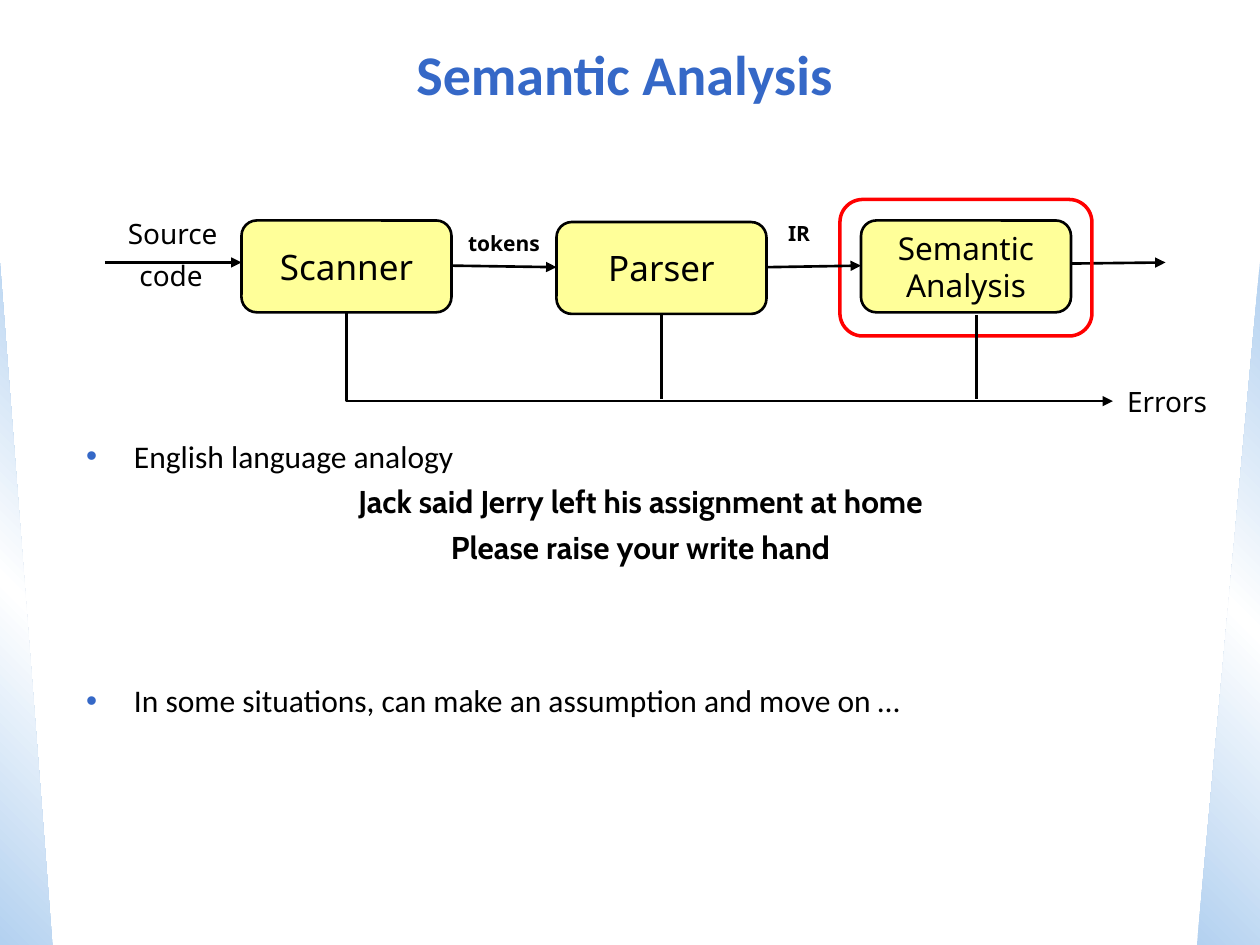
from dataclasses import dataclass
from lxml.etree import SubElement
from pptx import Presentation
from pptx.dml.color import RGBColor as RGB
from pptx.enum.shapes import MSO_CONNECTOR as CONN, MSO_SHAPE as SHAPE
from pptx.enum.text import MSO_ANCHOR as ANCHOR, MSO_AUTO_SIZE as AUTO, PP_ALIGN as ALIGN
from pptx.oxml import parse_xml
from pptx.oxml.ns import nsdecls, qn
from pptx.util import Inches, Pt


@dataclass(frozen=True)
class Theme:
    accent: str = "3568C7"
    ink: str = "000000"
    box: str = "FFFF99"
    focus: str = "FF0000"
    edge: str = "B3D1F0"
    paper: str = "FFFFFF"
    head_font: str = "Calibri"
    quote_font: str = "Cabin"
    label_font: str = "Noto Sans"
    title: int = 32
    stage: int = 20
    body: int = 18
    label: int = 16
    small: int = 12
    line: float = 1.5


class Deck:
    COLS, ROWS = 120, 90

    def __init__(self, theme):
        self.t = theme
        self.prs = Presentation()
        self.prs.slide_width, self.prs.slide_height = Inches(10), Inches(7.5)
        self.s = self.prs.slides.add_slide(self.prs.slide_layouts[1])

    def grid(self, x, y, w, h):
        dx, dy = self.prs.slide_width / self.COLS, self.prs.slide_height / self.ROWS
        return [int(v) for v in (x * dx, y * dy, w * dx, h * dy)]

    def run(self, p, text, size, font, color=None, bold=False):
        r = p.add_run()
        r.text = text
        r.font.size, r.font.name, r.font.bold = Pt(size), font, bold
        r.font.color.rgb = RGB.from_string(color or self.t.ink)

    def place(self, sp, *at):
        sp.left, sp.top, sp.width, sp.height = self.grid(*at)
        sp.text_frame.auto_size = AUTO.NONE
        return sp.text_frame

    def title(self, text, *at):
        tf = self.place(self.s.shapes.title, *at)
        tf.vertical_anchor = ANCHOR.MIDDLE
        p = tf.paragraphs[0]
        p.alignment = ALIGN.CENTER
        self.run(p, text, self.t.title, self.t.head_font, self.t.accent, True)

    def body(self, items, *at):
        tf = self.place(self.s.placeholders[1], *at)
        for i, (text, bullet, before) in enumerate(items):
            p = tf.paragraphs[0] if i == 0 else tf.add_paragraph()
            pPr = p._p.get_or_add_pPr()
            pPr.set("marL", str(Inches(0.38)))
            pPr.set("indent", str(Inches(-0.38)))
            if bullet:
                clr = SubElement(pPr, qn("a:buClr"))
                SubElement(clr, qn("a:srgbClr")).set("val", self.t.accent)
                SubElement(pPr, qn("a:buChar")).set("char", "•")
            else:
                SubElement(pPr, qn("a:buNone"))
            p.alignment = ALIGN.LEFT if bullet else ALIGN.CENTER
            p.space_before = Pt(before)
            font = self.t.head_font if bullet else self.t.quote_font
            self.run(p, text, self.t.body, font, bold=not bullet)

    def shape(self, kind, *at):
        sp = self.s.shapes.add_shape(kind, *self.grid(*at))
        sp.shadow.inherit = False
        return sp

    def edge(self, x, w, angle, flip=False):
        sp = self.shape(SHAPE.RIGHT_TRIANGLE, x, 25, w, 65)
        spPr = sp.element.spPr
        if flip:
            spPr.xfrm.set("flipH", "1")
        stops = "".join(
            f'<a:gs pos="{pos}"><a:srgbClr val="{color}"/></a:gs>'
            for pos, color in ((0, self.t.edge), (50000, self.t.paper), (100000, self.t.edge)))
        spPr.insert(2, parse_xml(
            f'<a:gradFill {nsdecls("a")} rotWithShape="1"><a:gsLst>{stops}</a:gsLst>'
            f'<a:lin ang="{angle * 60000}" scaled="0"/></a:gradFill>'))
        sp.line.fill.background()

    def frame(self, *at):
        sp = self.shape(SHAPE.ROUNDED_RECTANGLE, *at)
        sp.fill.background()
        sp.line.color.rgb, sp.line.width = RGB.from_string(self.t.focus), Pt(2)

    def stage(self, lines, size, x, y):
        sp = self.shape(SHAPE.ROUNDED_RECTANGLE, x, y, 20, 8.75)
        sp.fill.solid()
        sp.fill.fore_color.rgb = RGB.from_string(self.t.box)
        sp.line.color.rgb, sp.line.width = RGB.from_string(self.t.ink), Pt(self.t.line)
        tf = sp.text_frame
        tf.word_wrap, tf.vertical_anchor = False, ANCHOR.MIDDLE
        for i, text in enumerate(lines):
            p = tf.paragraphs[0] if i == 0 else tf.add_paragraph()
            p.alignment = ALIGN.CENTER
            self.run(p, text, size, self.t.label_font)

    def label(self, text, size, *at, bold=False):
        tf = self.s.shapes.add_textbox(*self.grid(*at)).text_frame
        tf.word_wrap, tf.auto_size = False, AUTO.SHAPE_TO_FIT_TEXT
        p = tf.paragraphs[0]
        p.alignment = ALIGN.CENTER
        self.run(p, text, size, self.t.label_font, bold=bold)

    def line(self, *ends, arrow=True, kind=CONN.STRAIGHT, width=None):
        c = self.s.shapes.add_connector(kind, *self.grid(*ends))
        c.line.color.rgb = RGB.from_string(self.t.ink)
        c.line.width = Pt(width or self.t.line)
        if arrow:
            SubElement(c.line._get_or_add_ln(), qn("a:tailEnd")).set("type", "triangle")
        SubElement(c.element.spPr, qn("a:effectLst"))
        return c

    def elbow(self, x1, y1, x2, y2):
        cx, cy, w, h = (x1 + x2) / 2, (y1 + y2) / 2, x2 - x1, y2 - y1
        c = self.line(cx - h / 2, cy - w / 2, cx + h / 2, cy + w / 2,
                      kind=CONN.ELBOW, width=1.25)
        spPr = c.element.spPr
        spPr.xfrm.set("rot", str(270 * 60000))
        spPr.xfrm.set("flipH", "1")
        spPr.find(qn("a:prstGeom")).set("prst", "bentConnector2")


def main():
    t = Theme()
    d = Deck(t)
    d.edge(0, 5, 135)
    d.edge(114, 6, 225, flip=True)
    d.title("Semantic Analysis", 3, 2, 113, 10)
    d.body([
        ("English language analogy", True, 0),
        ("Jack said Jerry left his assignment at home", False, 4.5),
        ("Please raise your write hand", False, 4.5),
        ("In some situations, can make an assumption and move on …", True, 66),
    ], 7, 41, 108, 46)

    d.stage(["Scanner"], t.stage, 23, 21)
    d.stage(["Parser"], t.stage, 53, 21.15)
    d.elbow(33, 29.75, 106, 38.2)
    d.line(85, 25.3, 111, 25)
    d.frame(80, 19, 24, 13)
    d.stage(["Semantic", "Analysis"], t.body, 82, 21)
    d.line(10, 25, 23, 25)
    d.line(43, 25.3, 53, 25.45)
    d.line(73, 25.45, 82, 25.3)
    for x in (63, 93):
        d.line(x, 30, x, 38, arrow=False)

    d.label("Source", t.label, 11, 20, 10.9, 4.4)
    d.label("code", t.label, 12.1, 24, 8.4, 4.4)
    d.label("Errors", t.label, 106.1, 36, 10.1, 4.4)
    d.label("tokens", t.small, 43.4, 21.4, 9.2, 3.6, bold=True)
    d.label("IR", t.small, 73.3, 20.4, 5.6, 3.6, bold=True)
    d.prs.save("out.pptx")


if __name__ == "__main__":
    main()
